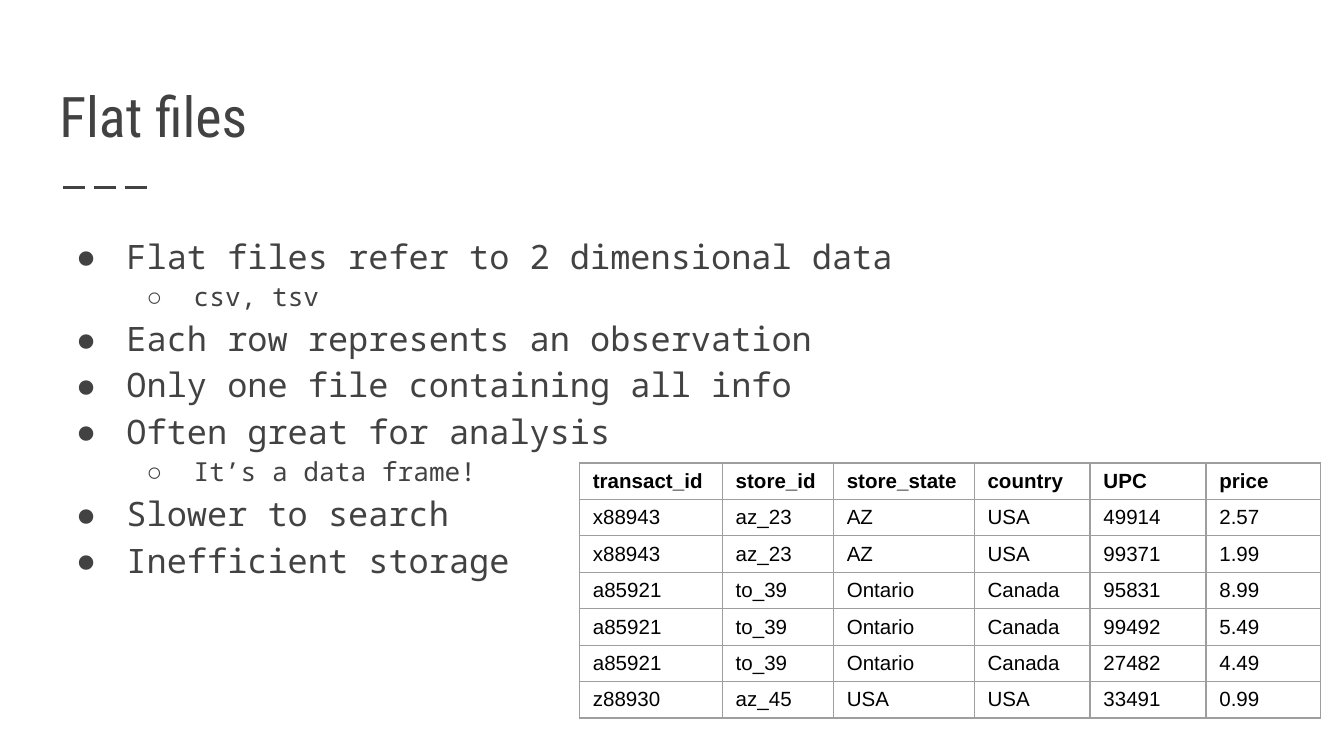
from dataclasses import dataclass

import pptx
import pptx.dml.color
import pptx.enum.dml
import pptx.enum.shapes
import pptx.enum.text
import pptx.oxml
import pptx.oxml.ns
import pptx.presentation
import pptx.shapes.placeholder
import pptx.slide
import pptx.table
import pptx.text.text
import pptx.util
from lxml import etree
from pptx.util import Cm


@dataclass(frozen=True)
class Theme:
    ink: str = "424242"
    table_ink: str = "000000"
    table_border: str = "9E9E9E"
    paper: str = "FFFFFF"
    title_font: str = "Roboto Condensed"
    body_font: str = "Noto Sans Mono"
    table_font: str = "Arial"
    title_size: float = 30
    table_size: float = 11
    rule_width: float = 1.5
    border_width: float = 0.75


@dataclass(frozen=True)
class BulletLevel:
    symbol: str
    size: float
    left: float
    hanging: float


@dataclass(frozen=True)
class Point:
    text: str
    level: int = 0


THEME = Theme()
LEVELS = (BulletLevel("●", 18, 1.27, 0.95), BulletLevel("○", 14, 2.54, 0.89))
POINTS = (
    Point("Flat files refer to 2 dimensional data"),
    Point("csv, tsv", 1),
    Point("Each row represents an observation"),
    Point("Only one file containing all info"),
    Point("Often great for analysis"),
    Point("It’s a data frame!", 1),
    Point("Slower to search"),
    Point("Inefficient storage"),
)
TRANSACTIONS = (
    ("transact_id", "store_id", "store_state", "country", "UPC", "price"),
    ("x88943", "az_23", "AZ", "USA", "49914", "2.57"),
    ("x88943", "az_23", "AZ", "USA", "99371", "1.99"),
    ("a85921", "to_39", "Ontario", "Canada", "95831", "8.99"),
    ("a85921", "to_39", "Ontario", "Canada", "99492", "5.49"),
    ("a85921", "to_39", "Ontario", "Canada", "27482", "4.49"),
    ("z88930", "az_45", "USA", "USA", "33491", "0.99"),
)
COLUMN_WIDTHS = (2.7, 2.1, 2.66, 2.19, 2.19, 2.17)
ROW_HEIGHT = 0.69


def rgb(code: str) -> pptx.dml.color.RGBColor:
    return pptx.dml.color.RGBColor.from_string(code)


def add_xml(parent: etree._Element, tag: str, **attributes: str) -> etree._Element:
    child = etree.SubElement(parent, pptx.oxml.ns.qn(tag))
    for name, value in attributes.items():
        child.set(name, value)
    return child


def format_runs(paragraph: pptx.text.text._Paragraph, font_name: str,
                size: float, color: str, bold: bool = False) -> None:
    for run in paragraph.runs:
        run.font.name = font_name
        run.font.size = pptx.util.Pt(size)
        run.font.bold = bold
        run.font.color.rgb = rgb(color)


def place(holder: pptx.shapes.placeholder.SlidePlaceholder, top: float,
          height: float, anchor: pptx.enum.text.MSO_ANCHOR) -> None:
    """Move a placeholder into the text column and give it even insets."""
    holder.left, holder.top = Cm(0.87), Cm(top)
    holder.width, holder.height = Cm(23.67), Cm(height)
    frame = holder.text_frame
    frame.margin_left = frame.margin_right = Cm(0.25)
    frame.margin_top = frame.margin_bottom = Cm(0.25)
    frame.vertical_anchor = anchor
    frame.word_wrap = True
    frame.auto_size = pptx.enum.text.MSO_AUTO_SIZE.NONE


def add_title(slide: pptx.slide.Slide) -> None:
    title = slide.shapes.title
    place(title, 1.04, 2.03, pptx.enum.text.MSO_ANCHOR.BOTTOM)
    title.text_frame.text = "Flat files"
    heading = title.text_frame.paragraphs[0]
    heading.alignment = pptx.enum.text.PP_ALIGN.LEFT
    format_runs(heading, THEME.title_font, THEME.title_size, THEME.ink)


def add_title_rule(slide: pptx.slide.Slide) -> None:
    rule = slide.shapes.add_connector(
        pptx.enum.shapes.MSO_CONNECTOR.STRAIGHT, Cm(1.19), Cm(3.54), Cm(2.9), Cm(3.54))
    rule.line.color.rgb = rgb(THEME.ink)
    rule.line.width = pptx.util.Pt(THEME.rule_width)
    rule.line.dash_style = pptx.enum.dml.MSO_LINE.LONG_DASH
    add_xml(rule._element.spPr, "a:effectLst")


def add_points(slide: pptx.slide.Slide) -> None:
    body = slide.placeholders[1]
    place(body, 4.09, 8.61, pptx.enum.text.MSO_ANCHOR.TOP)
    body.text_frame.text = "\n".join(point.text for point in POINTS)
    for paragraph, point in zip(body.text_frame.paragraphs, POINTS):
        level = LEVELS[point.level]
        paragraph.level = point.level
        paragraph.line_spacing = 1.15
        paragraph.space_before = paragraph.space_after = pptx.util.Pt(0)
        format_runs(paragraph, THEME.body_font, level.size, THEME.ink)
        properties = paragraph._p.get_or_add_pPr()
        properties.set("marL", str(Cm(level.left)))
        properties.set("indent", str(-Cm(level.hanging)))
        add_xml(add_xml(properties, "a:buClr"), "a:srgbClr", val=THEME.ink)
        add_xml(properties, "a:buFont", typeface=THEME.body_font)
        add_xml(properties, "a:buChar", char=level.symbol)


def add_borders(cell: pptx.table._Cell) -> None:
    properties = cell._tc.get_or_add_tcPr()
    for side in ("a:lnL", "a:lnR", "a:lnT", "a:lnB"):
        border = add_xml(properties, side, w=str(pptx.util.Pt(THEME.border_width)))
        add_xml(add_xml(border, "a:solidFill"), "a:srgbClr", val=THEME.table_border)


def add_transactions(slide: pptx.slide.Slide) -> None:
    table = slide.shapes.add_table(
        len(TRANSACTIONS), len(COLUMN_WIDTHS), Cm(10.95), Cm(8.75),
        Cm(sum(COLUMN_WIDTHS)), Cm(ROW_HEIGHT * len(TRANSACTIONS))).table
    table.horz_banding = False
    for column, width in zip(table.columns, COLUMN_WIDTHS):
        column.width = Cm(width)
    for row_index, (row, record) in enumerate(zip(table.rows, TRANSACTIONS)):
        row.height = Cm(ROW_HEIGHT)
        for cell, value in zip(row.cells, record):
            cell.text_frame.text = value
            format_runs(cell.text_frame.paragraphs[0], THEME.table_font,
                        THEME.table_size, THEME.table_ink, bold=row_index == 0)
            add_borders(cell)
            cell.fill.background()


def build() -> pptx.presentation.Presentation:
    deck = pptx.Presentation()
    deck.slide_width, deck.slide_height = Cm(25.4), Cm(14.29)
    slide = deck.slides.add_slide(deck.slide_layouts[1])
    slide.background.fill.solid()
    slide.background.fill.fore_color.rgb = rgb(THEME.paper)
    add_title_rule(slide)
    add_title(slide)
    add_points(slide)
    add_transactions(slide)
    return deck


if __name__ == "__main__":
    build().save("out.pptx")
